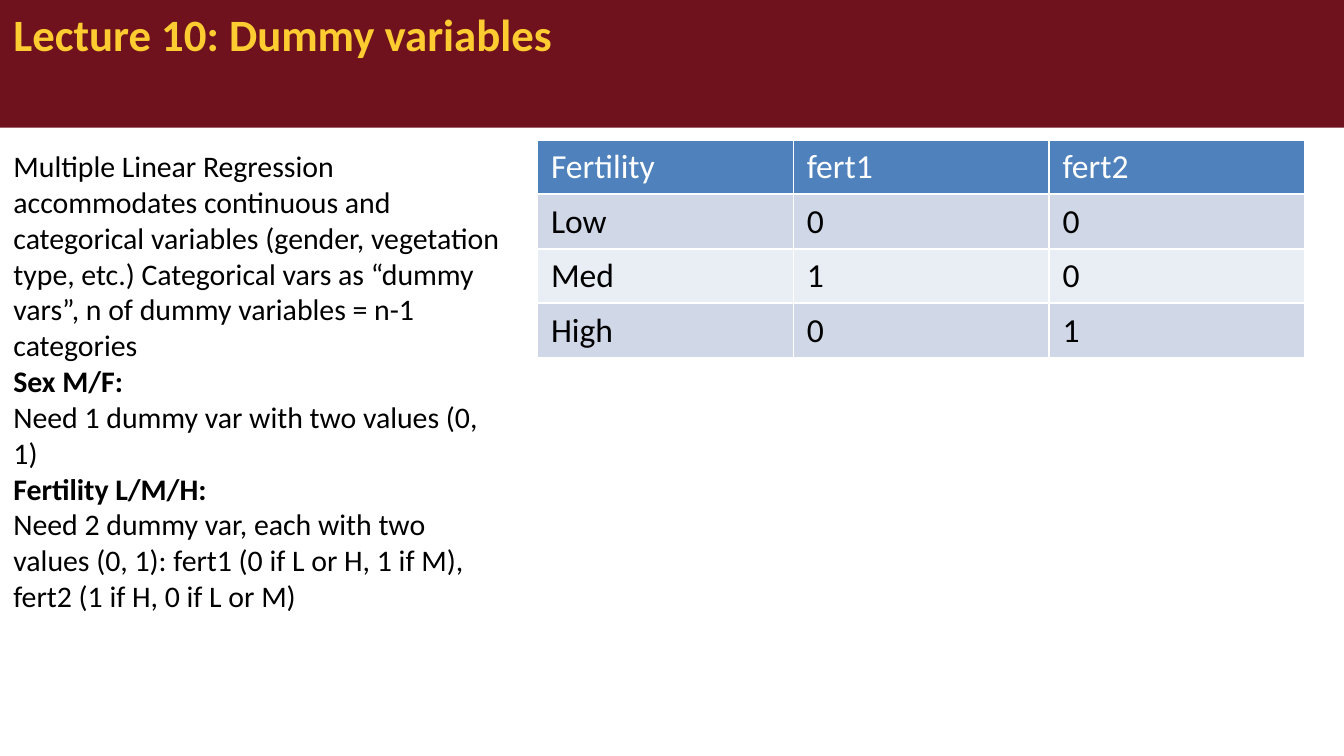
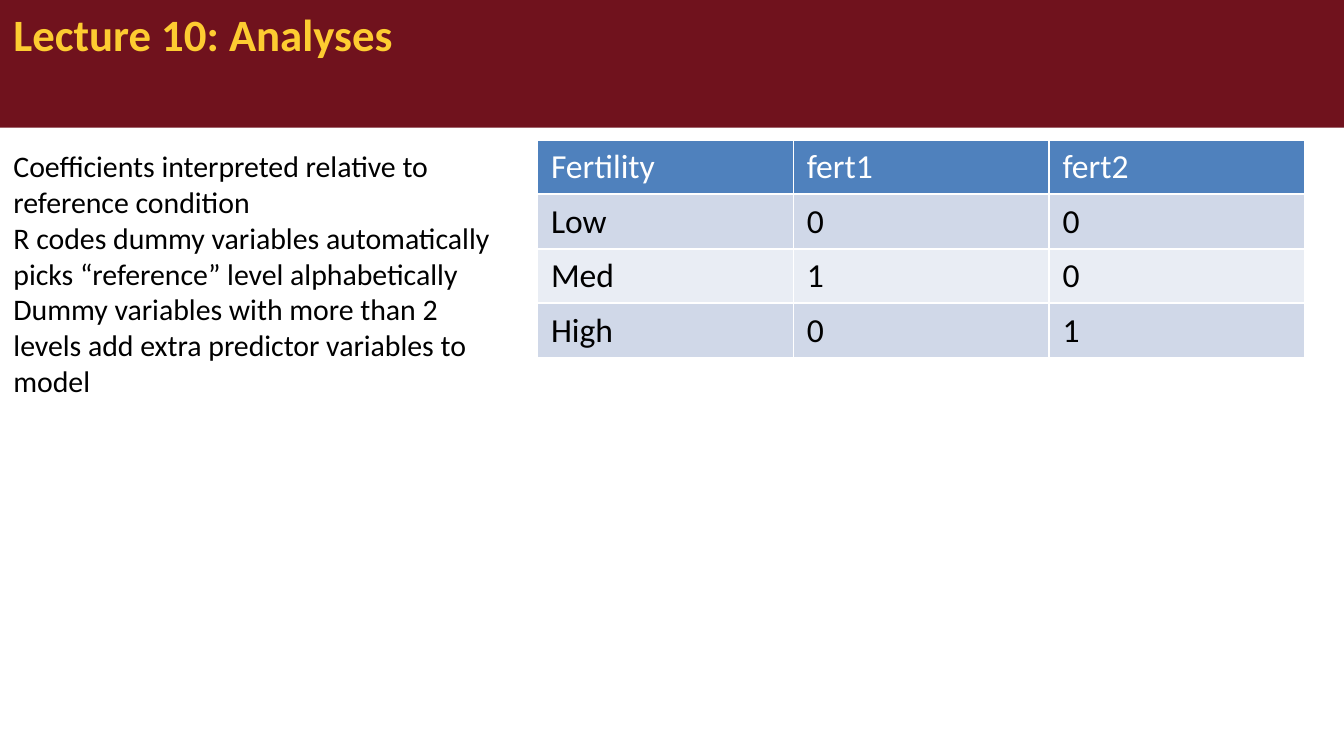
from dataclasses import dataclass

from lxml import etree
from pptx import Presentation
from pptx import util as u
from pptx.dml.color import RGBColor
from pptx.enum import text
from pptx.oxml.ns import qn


@dataclass(frozen=True)
class Theme:
    font: str = "Calibri"
    band: str = "70121D"
    gold: str = "FDCC31"
    black: str = "000000"
    white: str = "FFFFFF"
    header: str = "4F81BD"
    stripes: tuple = ("D0D8E8", "E9EDF4")
    title_size: int = 24
    body_size: int = 16
    table_size: int = 18


THEME = Theme()

SLIDE_WIDTH = 10
SLIDE_HEIGHT = SLIDE_WIDTH * 9 / 16
TITLE_BOX = (0, 0, SLIDE_WIDTH, 0.95)
BODY_BOX = (0, 1.05, 3.87, 3.85)
TABLE_BOX = (4, 1.04, 5.71, 1.62)

FERTILITY_CODES = [
    ("Fertility", "fert1", "fert2"),
    ("Low", "0", "0"),
    ("Med", "1", "0"),
    ("High", "0", "1"),
]

LECTURE = [
    (
        "Lecture 10: Dummy variables",
        [
            ("Multiple Linear Regression accommodates continuous and categorical variables "
             "(gender, vegetation type, etc.) Categorical vars as “dummy vars”, "
             "n of dummy variables = n-1 categories", False),
            ("Sex M/F:", True),
            ("Need 1 dummy var with two values (0, 1)", False),
            ("Fertility L/M/H:", True),
            ("Need 2 dummy var, each with two values (0, 1): fert1 (0 if L or H, 1 if M), "
             "fert2 (1 if H, 0 if L or M)", False),
        ],
    ),
    (
        "Lecture 10: Analyses",
        [
            ("Coefficients interpreted relative to reference condition", False),
            ("R codes dummy variables automatically", False),
            ("picks “reference” level alphabetically", False),
            ("Dummy variables with more than 2 levels add extra predictor variables to model", False),
        ],
    ),
]


def apply(target, **values):
    for name, value in values.items():
        setattr(target, name, value)


def fill(target, color):
    target.fill.solid()
    target.fill.fore_color.rgb = RGBColor.from_string(color)


def style_font(paragraph, size, color, bold=False):
    apply(paragraph.font, name=THEME.font, size=u.Pt(size), bold=bold)
    paragraph.font.color.rgb = RGBColor.from_string(color)


def place(shape, box):
    left, top, width, height = map(u.Inches, box)
    apply(shape, left=left, top=top, width=width, height=height)
    apply(shape.text_frame, word_wrap=True, auto_size=text.MSO_AUTO_SIZE.NONE,
          vertical_anchor=text.MSO_ANCHOR.TOP)


def add_title(slide, box, title):
    shape = slide.shapes.title
    place(shape, box)
    fill(shape, THEME.band)
    shape.text_frame.text = title
    paragraph = shape.text_frame.paragraphs[0]
    paragraph.alignment = text.PP_ALIGN.LEFT
    style_font(paragraph, THEME.title_size, THEME.gold, True)


def add_body(slide, box, lines):
    shape = slide.placeholders[1]
    place(shape, box)
    frame = shape.text_frame
    frame.text = "\n".join(line for line, _ in lines)
    for paragraph, (_, bold) in zip(frame.paragraphs, lines):
        properties = paragraph._p.get_or_add_pPr()
        properties.set("marL", "0")
        properties.set("indent", "0")
        etree.SubElement(properties, qn("a:buNone"))
        apply(paragraph, alignment=text.PP_ALIGN.LEFT, space_before=u.Pt(0), space_after=u.Pt(0))
        style_font(paragraph, THEME.body_size, THEME.black, bold)


def add_code_table(slide, box, rows):
    table = slide.shapes.add_table(len(rows), len(rows[0]), *map(u.Inches, box)).table
    for row_index, row in enumerate(rows):
        is_header = row_index == 0
        background = THEME.header if is_header else THEME.stripes[(row_index - 1) % 2]
        color = THEME.white if is_header else THEME.black
        for column_index, value in enumerate(row):
            cell = table.cell(row_index, column_index)
            cell.text = value
            fill(cell, background)
            style_font(cell.text_frame.paragraphs[0], THEME.table_size, color)


def add_lecture_slide(presentation, title, lines):
    slide = presentation.slides.add_slide(presentation.slide_layouts[1])
    add_title(slide, TITLE_BOX, title)
    add_body(slide, BODY_BOX, lines)
    add_code_table(slide, TABLE_BOX, FERTILITY_CODES)


def main():
    presentation = Presentation()
    apply(presentation, slide_width=u.Inches(SLIDE_WIDTH), slide_height=u.Inches(SLIDE_HEIGHT))
    for title, lines in LECTURE:
        add_lecture_slide(presentation, title, lines)
    presentation.save("out.pptx")


if __name__ == "__main__":
    main()
